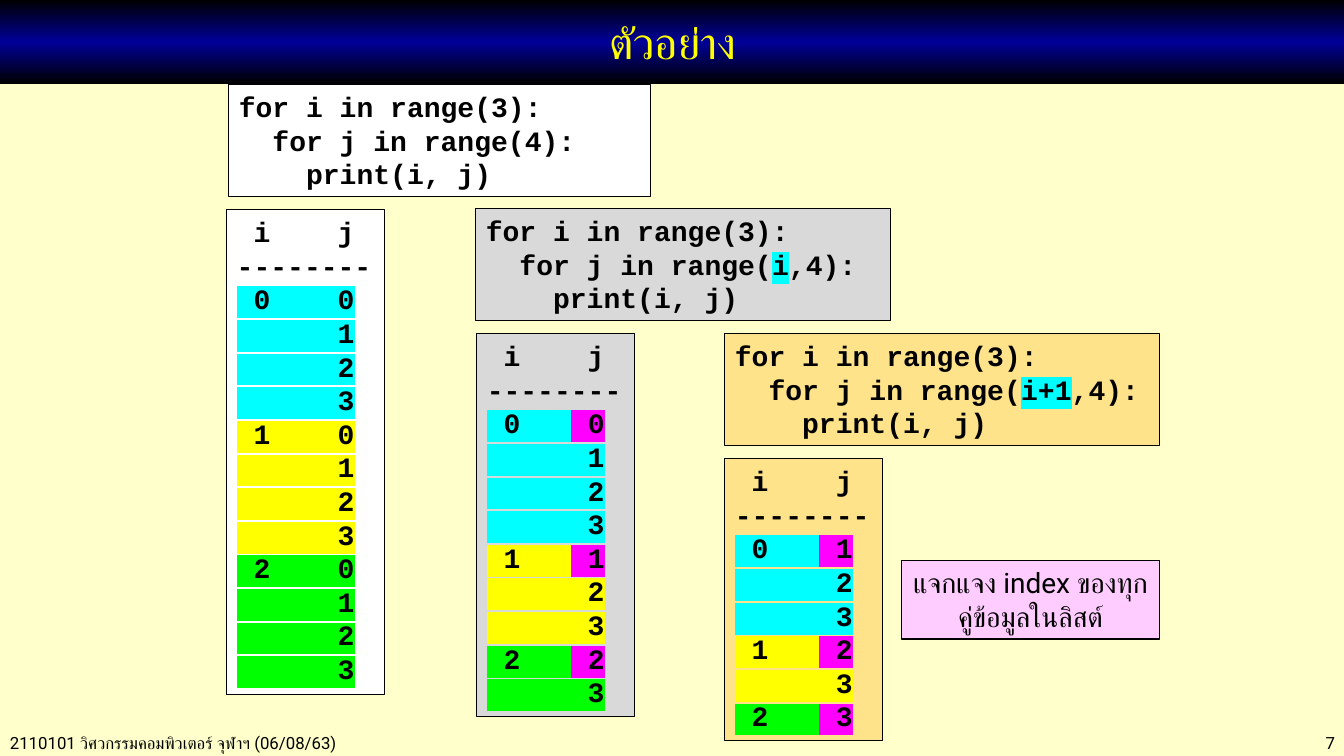
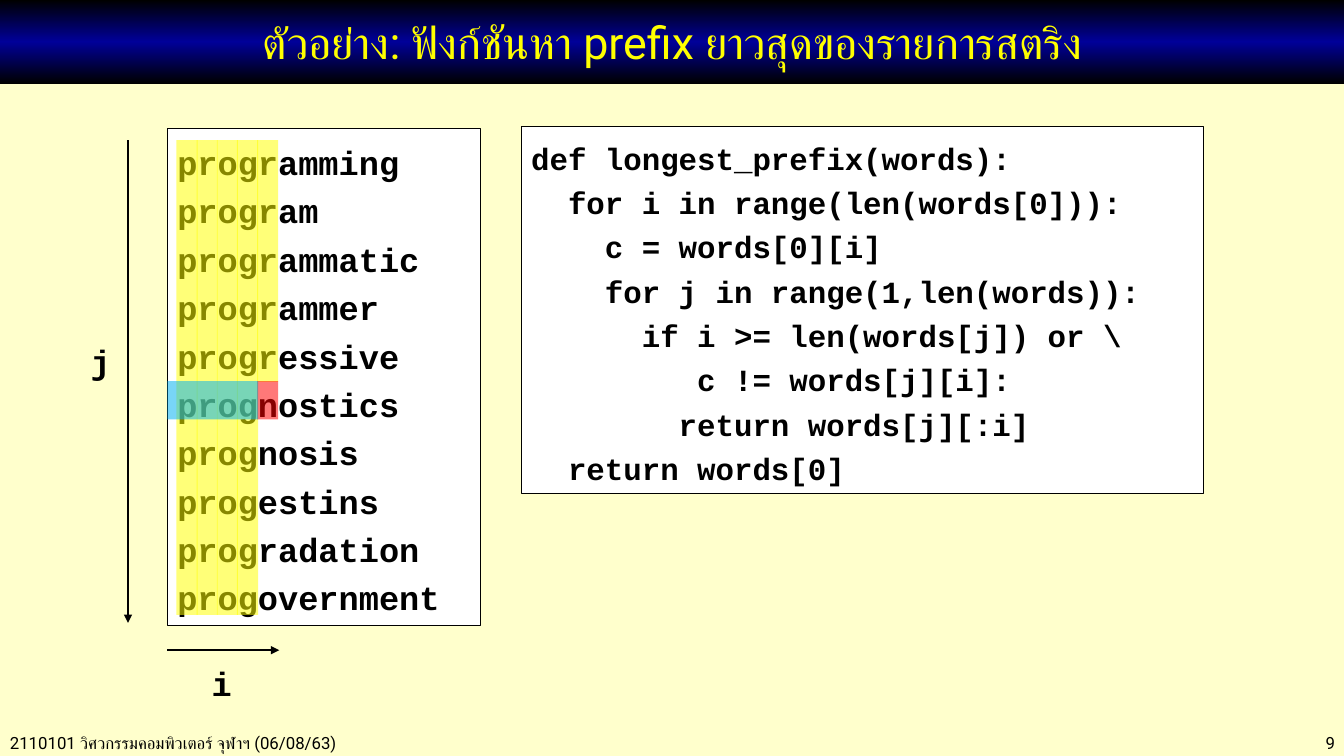
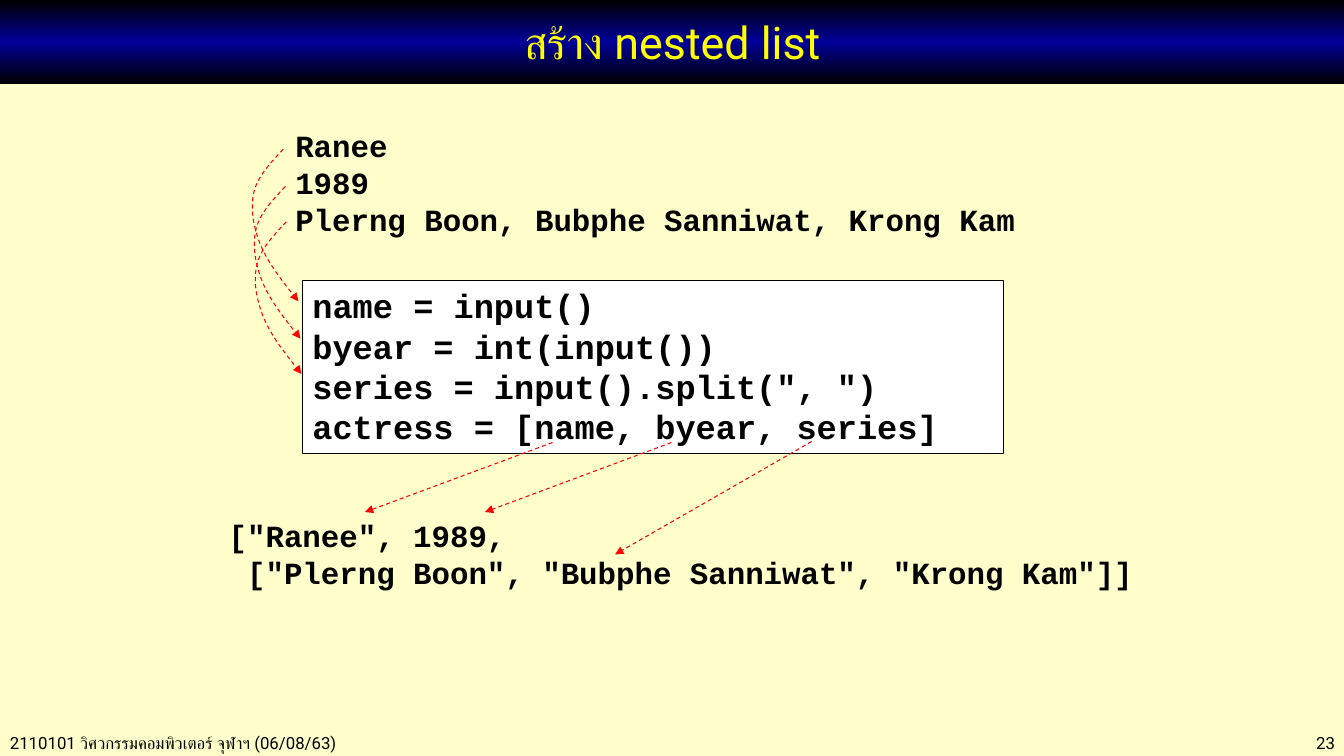
"""Build three lecture slides on nested loops and nested lists."""
import dataclasses
import typing

import pptx
import pptx.dml.color
import pptx.enum.dml
import pptx.enum.shapes
import pptx.enum.text
import pptx.oxml
import pptx.oxml.ns
import pptx.util

BLACK, WHITE, RED, YELLOW = "000000", "FFFFFF", "FF0000", "FFFF00"
CYAN, GREEN, MAGENTA = "00FFFF", "00FF00", "FF00FF"
CREAM, NAVY, PINK, BLUE = "FFFFCC", "000099", "FFCCFF", "00B0F0"
BODY_FONT, CODE_FONT = "Roboto", "Courier New"
FOOTER = "2110101 วิศวกรรมคอมพิวเตอร์ จุฬาฯ (06/08/63)"
CODE_LINE = 1.01 / 3
Inches = pptx.util.Inches
Align = pptx.enum.text.PP_ALIGN
Point = tuple[float, float]
Frame = tuple[float, float, float, float]


class Run(typing.NamedTuple):
    """A stretch of text with its own highlight or font."""
    text: str
    highlight: str = ""
    font: str = ""


Line = list[Run]


@dataclasses.dataclass
class TextStyle:
    """Font and paragraph values of a text."""
    font: dict[str, typing.Any]
    paragraph: dict[str, typing.Any] = dataclasses.field(default_factory=dict)
    color: str = BLACK


def code_style(points: int, **paragraph: typing.Any) -> TextStyle:
    """Return bold monospaced text of the given size."""
    return TextStyle({"name": CODE_FONT, "size": pptx.util.Pt(points), "bold": True}, paragraph)


def body_style(points: int, alignment: Align, color: str = BLACK, name: str = BODY_FONT) -> TextStyle:
    """Return plain text of the given size and alignment."""
    return TextStyle({"name": name, "size": pptx.util.Pt(points)}, {"alignment": alignment}, color)


@dataclasses.dataclass
class LoopPanel:
    """A nested loop and the index pairs that it prints."""
    code_left: float
    code_top: float
    code_width: float
    trace_left: float
    fill: str
    bound: str
    starts: tuple[int, ...]
    first_mark: str = ""


PANELS = (
    LoopPanel(2.27, 0.84, 4.18, 2.25, WHITE, "", (0, 0, 0)),
    LoopPanel(4.72, 2.07, 4.11, 4.73, "D9D9D9", "i", (0, 1, 2), MAGENTA),
    LoopPanel(7.19, 3.31, 4.31, 7.19, "FFE38B", "i+1", (1, 2, 3), MAGENTA),
)
WORDS = ("programming", "program", "programmatic", "programmer", "progressive",
         "prognostics", "prognosis", "progestins", "progradation", "progovernment")
PREFIX_CODE = (
    "def longest_prefix(words):",
    "  for i in range(len(words[0])):",
    "    c = words[0][i]",
    "    for j in range(1,len(words)):",
    "      if i >= len(words[j]) or \\",
    "         c != words[j][i]:",
    "        return words[j][:i]",
    "  return words[0]",
)
INPUT_CODE = ("name = input()", "byear = int(input())",
              'series = input().split(", ")', "actress = [name, byear, series]")
INPUT_LINES = ("Ranee", "1989", "Plerng Boon, Bubphe Sanniwat, Krong Kam")
RESULT_LINES = ('["Ranee", 1989,', ' ["Plerng Boon", "Bubphe Sanniwat", "Krong Kam"]]')
INPUT_CURVE = (
    ((2.81, 1.48), (2.69, 1.61), (2.56, 1.74), (2.52, 1.9)),
    ((2.52, 1.9), (2.48, 2.06), (2.51, 2.24), (2.58, 2.42)),
    ((2.58, 2.42), (2.65, 2.6), (2.8, 2.79), (2.96, 2.99)),
)
CURVE_OFFSETS = ((0, 0), (0.02, 0.37), (0.03, 0.72))
RESULT_ARROWS = (((5.48, 4.39), (3.62, 5.08)), ((6.66, 4.39), (4.81, 5.08)), ((8.05, 4.38), (6.1, 5.5)))


def rgb(color: str) -> pptx.dml.color.RGBColor:
    """Turn a hex string into a colour."""
    return pptx.dml.color.RGBColor.from_string(color)


def make_element(tag: str, content: str = "", attributes: str = "") -> typing.Any:
    """Make one DrawingML element."""
    namespace = pptx.oxml.ns.nsdecls("a")
    return pptx.oxml.parse_xml(f"<a:{tag} {namespace} {attributes}>{content}</a:{tag}>")


def plain(lines: typing.Iterable[str]) -> list[Line]:
    """Turn strings into lines of one run each."""
    return [[Run(text)] for text in lines]


def write_lines(text_frame: typing.Any, lines: list[Line], style: TextStyle) -> None:
    """Write one paragraph for each line."""
    for index, line in enumerate(lines):
        paragraph = text_frame.add_paragraph() if index else text_frame.paragraphs[0]
        for name, value in style.paragraph.items():
            setattr(paragraph, name, value)
        if paragraph.level:
            paragraph._p.get_or_add_pPr().set("marL", str(Inches(0.5 * paragraph.level)))
        for part in line:
            run = paragraph.add_run()
            run.text = part.text
            values = {**style.font, "name": part.font or style.font["name"]}
            for name, value in values.items():
                setattr(run.font, name, value)
            run.font.color.rgb = rgb(style.color)
            properties = run._r.get_or_add_rPr()
            if part.highlight:
                highlight = make_element("highlight", f'<a:srgbClr val="{part.highlight}"/>')
                properties.find(pptx.oxml.ns.qn("a:solidFill")).addnext(highlight)
            properties.append(make_element("cs", attributes=f'typeface="{BODY_FONT}"'))


def add_text(slide: typing.Any, frame: Frame, lines: list[Line], style: TextStyle, fill: str = "") -> None:
    """Add a text box, filled and outlined when a fill is given."""
    shape = slide.shapes.add_textbox(*map(Inches, frame))
    shape.text_frame.word_wrap = True
    if fill:
        shape.fill.solid()
        shape.fill.fore_color.rgb = rgb(fill)
        shape.line.color.rgb = rgb(BLACK)
        shape.line.width = pptx.util.Pt(0.75)
    write_lines(shape.text_frame, lines, style)


def add_marker(slide: typing.Any, frame: Frame, color: str) -> None:
    """Add a see-through rectangle over text."""
    shape = slide.shapes.add_shape(pptx.enum.shapes.MSO_SHAPE.RECTANGLE, *map(Inches, frame))
    shape.shadow.inherit = False
    shape.line.fill.background()
    shape.fill.solid()
    shape.fill.fore_color.rgb = rgb(color)
    fill = shape.element.spPr.find(pptx.oxml.ns.qn("a:solidFill"))
    fill[0].append(make_element("alpha", attributes='val="53000"'))


def finish_arrow(shape: typing.Any, color: str, points: float, dashed: bool) -> None:
    """Style an arrow line and give it a head."""
    shape.line.color.rgb = rgb(color)
    shape.line.width = pptx.util.Pt(points)
    if dashed:
        shape.line.dash_style = pptx.enum.dml.MSO_LINE.DASH
    shape.get_or_add_ln().append(make_element("tailEnd", attributes='type="triangle"'))
    shape.element.spPr.append(make_element("effectLst"))


def add_arrow(slide: typing.Any, start: Point, end: Point, color: str = BLACK,
              points: float = 1.5, dashed: bool = False) -> None:
    """Add a straight arrow."""
    connector = slide.shapes.add_connector(
        pptx.enum.shapes.MSO_CONNECTOR.STRAIGHT, *map(Inches, (*start, *end)))
    finish_arrow(connector, color, points, dashed)


def curve_point(controls: tuple[Point, ...], position: float, offset: Point) -> Point:
    """Return a point on a shifted cubic curve in EMU."""
    rest = 1 - position
    weights = (rest ** 3, 3 * rest ** 2 * position, 3 * rest * position ** 2, position ** 3)
    x, y = (sum(weight * control[axis] for weight, control in zip(weights, controls)) + offset[axis]
            for axis in (0, 1))
    return Inches(x), Inches(y)


def add_curved_arrow(slide: typing.Any, offset: Point, steps: int = 8) -> None:
    """Add a dashed arrow along the input curve."""
    start = curve_point(INPUT_CURVE[0], 0, offset)
    points = [curve_point(controls, step / steps, offset)
              for controls in INPUT_CURVE for step in range(1, steps + 1)]
    builder = slide.shapes.build_freeform(*start)
    builder.add_line_segments(points, close=False)
    shape = builder.convert_to_shape()
    shape.fill.background()
    finish_arrow(shape, RED, 0.75, True)


def add_slide(presentation: typing.Any, title: str, number: int) -> typing.Any:
    """Add a slide with its title band and footer."""
    slide = presentation.slides.add_slide(presentation.slide_layouts.get_by_name("Title Only"))
    shape = slide.shapes.title
    geometry = {"left": 0, "top": 0, "width": Inches(13.34), "height": Inches(0.83)}
    for name, value in geometry.items():
        setattr(shape, name, value)
    stops = "".join(f'<a:gs pos="{position}"><a:srgbClr val="{color}"/></a:gs>'
                    for position, color in ((0, BLACK), (50000, NAVY), (100000, BLACK)))
    shape.element.spPr.append(
        make_element("gradFill", f'<a:gsLst>{stops}</a:gsLst><a:lin ang="5400000" scaled="0"/>'))
    shape.text_frame.auto_size = pptx.enum.text.MSO_AUTO_SIZE.NONE
    shape.text_frame.vertical_anchor = pptx.enum.text.MSO_ANCHOR.MIDDLE
    write_lines(shape.text_frame, plain([title]), body_style(32, Align.CENTER, YELLOW))
    add_text(slide, (0, 7.22, 5.2, 0.3), plain([FOOTER]), body_style(12, Align.LEFT))
    add_text(slide, (11.5, 7.22, 1.84, 0.3), plain([str(number)]), body_style(12, Align.RIGHT))
    return slide


def trace_lines(panel: LoopPanel) -> list[Line]:
    """List the index pairs that a loop prints."""
    lines = plain([" i    j", "--------"])
    for i, (start, color) in enumerate(zip(panel.starts, (CYAN, YELLOW, GREEN))):
        lines.append([Run(f" {i}   ", color), Run(f" {start}", panel.first_mark or color)])
        lines.extend([Run(f"{j:>7}", color)] for j in range(start + 1, 4))
    return lines


def add_loop_panel(slide: typing.Any, panel: LoopPanel) -> None:
    """Add a loop and its output below it."""
    inner = [Run("  for j in range(4):")]
    if panel.bound:
        inner = [Run("  for j in range("), Run(panel.bound, CYAN), Run(",4):")]
    code = [[Run("for i in range(3):")], inner, [Run("    print(i, j)")]]
    trace = trace_lines(panel)
    for left, top, width, lines in (
        (panel.code_left, panel.code_top, panel.code_width, code),
        (panel.trace_left, panel.code_top + 1.24, 1.56, trace),
    ):
        add_text(slide, (left, top, width, len(lines) * CODE_LINE + 0.1), lines, code_style(20), panel.fill)


def build_loops(presentation: typing.Any) -> None:
    """Build the slide that compares loop bounds."""
    slide = add_slide(presentation, "ตัวอย่าง", 7)
    for panel in PANELS:
        add_loop_panel(slide, panel)
    note = [[Run("แจกแจง "), Run("index ", font=BODY_FONT), Run("ของทุกคู่ข้อมูลในลิสต์")]]
    add_text(slide, (8.94, 5.56, 2.56, 0.78), note, body_style(20, Align.CENTER, name=CODE_FONT), PINK)


def build_prefix(presentation: typing.Any) -> None:
    """Build the slide on the longest prefix."""
    slide = add_slide(presentation, "ตัวอย่าง: ฟังก์ชันหา prefix ยาวสุดของรายการสตริง", 9)
    word_style = code_style(24, line_spacing=1.2)
    add_text(slide, (1.66, 1.28, 3.11, 4.93), plain(WORDS), word_style, WHITE)
    add_text(slide, (5.17, 1.26, 6.77, 3.64), plain(PREFIX_CODE), code_style(22, line_spacing=1.2), WHITE)
    for column, height in enumerate((4.71, 4.71, 4.71, 4.71, 2.4)):
        add_marker(slide, (1.75 + 0.2 * column, 1.39, 0.21, height), YELLOW)
    add_marker(slide, (2.55, 3.78, 0.21, 0.38), RED)
    add_marker(slide, (1.66, 3.78, 0.9, 0.38), BLUE)
    for label, left, top, start, end in (
        ("j", 0.8, 3.25, (1.27, 1.39), (1.27, 6.18)),
        ("i", 2, 6.45, (1.66, 6.45), (2.77, 6.45)),
    ):
        add_arrow(slide, start, end)
        add_text(slide, (left, top, 0.43, 0.57), plain([label]), word_style)


def build_nested_list(presentation: typing.Any) -> None:
    """Build the slide that makes a nested list."""
    slide = add_slide(presentation, "สร้าง nested list", 23)
    add_text(slide, (3, 2.78, 6.95, 1.72), plain(INPUT_CODE), code_style(24), WHITE)
    add_text(slide, (2.33, 1.21, 8.11, 1.21), plain(INPUT_LINES), code_style(22, level=1))
    add_text(slide, (1.67, 5.08, 9.75, 0.84), plain(RESULT_LINES), code_style(22, level=1))
    for start, end in RESULT_ARROWS:
        add_arrow(slide, start, end, RED, 0.75, True)
    for offset in CURVE_OFFSETS:
        add_curved_arrow(slide, offset)


def main() -> None:
    """Build and save the presentation."""
    presentation = pptx.Presentation()
    presentation.slide_width = Inches(13.33)
    presentation.slide_height = Inches(7.5)
    background = presentation.slide_master.background.fill
    background.solid()
    background.fore_color.rgb = rgb(CREAM)
    for build in (build_loops, build_prefix, build_nested_list):
        build(presentation)
    presentation.save("out.pptx")


if __name__ == "__main__":
    main()
